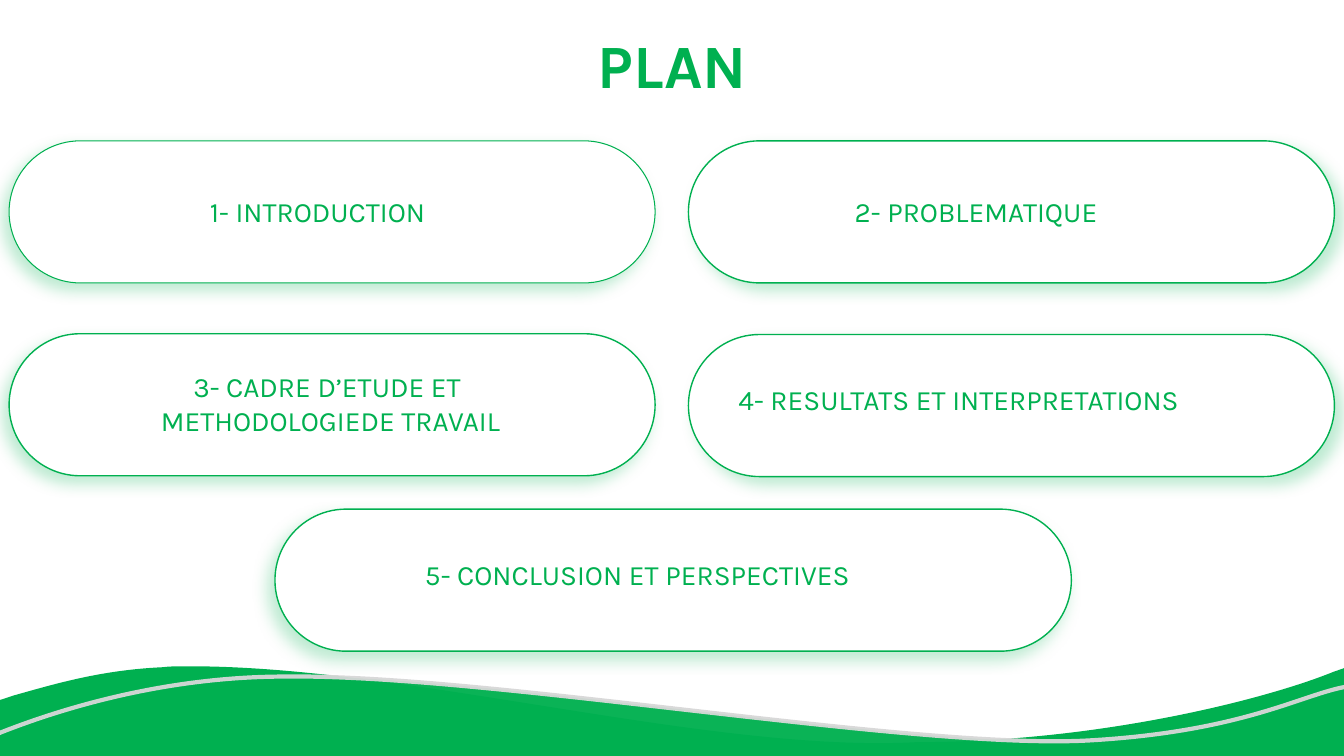
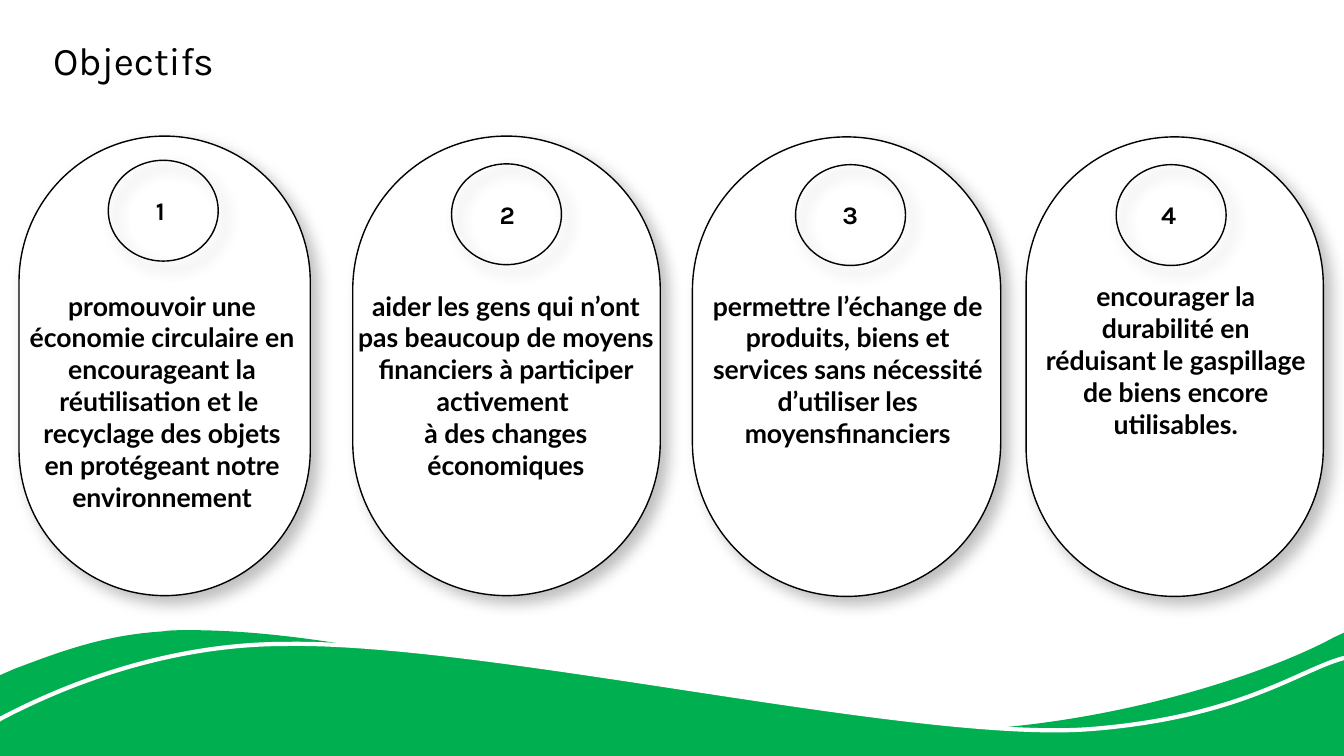
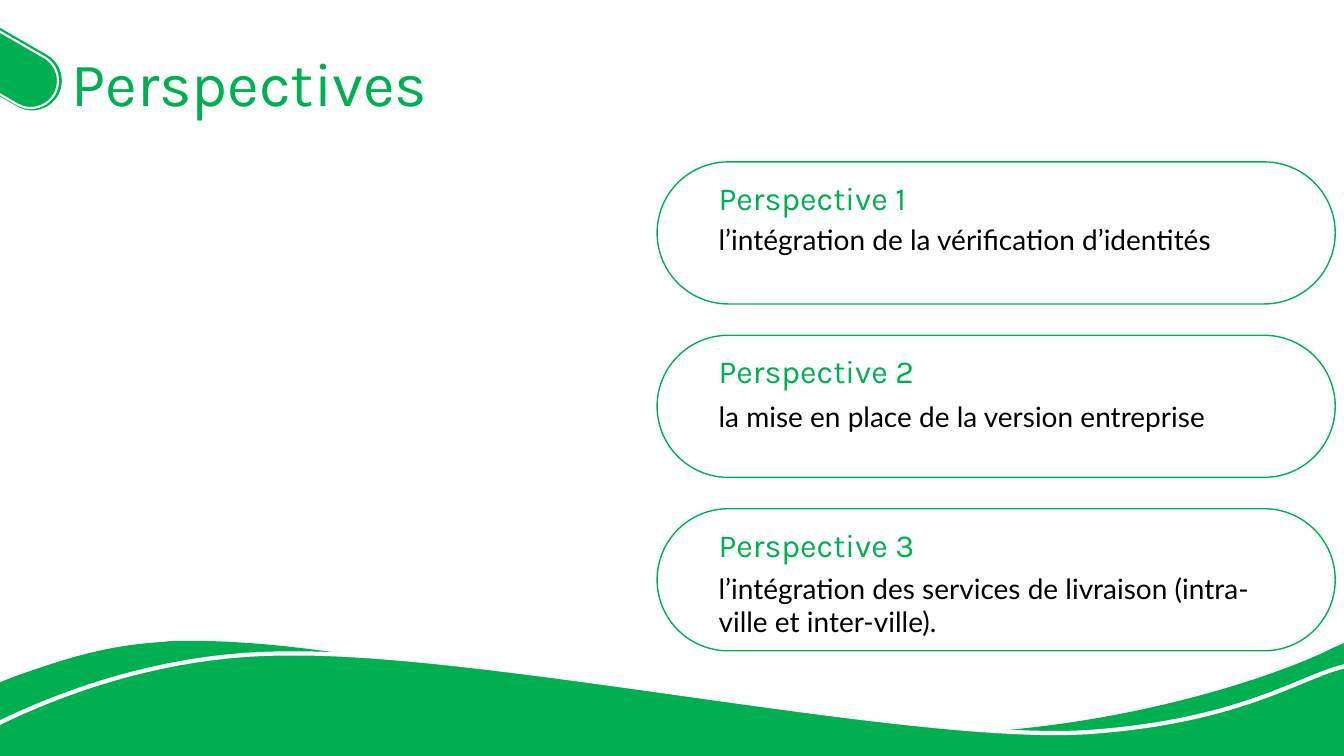
from lxml import etree
from pptx import Presentation
from pptx.dml.color import RGBColor
from pptx.enum.shapes import MSO_SHAPE
from pptx.enum.text import PP_ALIGN
from pptx.oxml.ns import qn
from pptx.util import Cm, Pt

PILL = MSO_SHAPE.ROUNDED_RECTANGLE
OVAL = MSO_SHAPE.OVAL
LEFT, CENTER = PP_ALIGN.LEFT, PP_ALIGN.CENTER

GREEN = RGBColor(0x00, 0xB0, 0x50)
WHITE = RGBColor(0xFF, 0xFF, 0xFF)
BLACK = RGBColor(0x00, 0x00, 0x00)
GREY = RGBColor(0xD8, 0xD8, 0xD8)

HEADING_FONT, BODY_FONT = "Karla", "Lato"
PILL_HEIGHT = 3.58

# Wave outlines: x in cm, y as a share of the wave height.
# A pair is a corner, three pairs are a Bézier curve.
BACK_WAVE = [
    (4.62, 0),
    ((10.21, -0.02), (17.83, 0.93), (23.11, 0.81)),
    ((27.76, 0.81), (31.98, 0.34), (33.6, 0.06)),
    (33.87, 0.02), (33.87, 1), (0, 1), (0, 0.36), (0.36, 0.31),
    ((1.45, 0.18), (2.57, 0.04), (4.09, 0.01)),
    ((4.27, 0), (4.45, 0), (4.62, 0)),
]
FRONT_WAVE = [
    (7.19, 0),
    ((12.32, -0.03), (23.01, 0.82), (27.46, 0.71)),
    ((31.37, 0.61), (32.84, 0.19), (33.96, 0.11)),
    (33.96, 1), (-0.2, 1), (-0.2, 0.67), (0.03, 0.62),
    ((1.7, 0.33), (4.27, 0), (7.19, 0)),
]


def add_text(page, text, left, top, width, height, *, size, color,
             font=HEADING_FONT, bold=False, align=LEFT, spacing=None, wrap=True):
    """Add a text box with one paragraph for each line of text."""
    box = page.shapes.add_textbox(Cm(left), Cm(top), Cm(width), Cm(height))
    frame = box.text_frame
    frame.word_wrap = wrap
    for index, line in enumerate(text.split("\n")):
        para = frame.paragraphs[0] if index == 0 else frame.add_paragraph()
        para.alignment = align
        if spacing:
            para.line_spacing = spacing
        span = para.add_run()
        span.text = line
        span.font.name = font
        span.font.size = Pt(size)
        span.font.bold = bold
        span.font.color.rgb = color


def add_title(page, text, left, top, width, height, **style):
    add_text(page, text, left, top, width, height, spacing=0.8, **style)


def paint(shape, fill, line, line_width):
    """Set fill and line (None for none) and drop the theme shadow."""
    if fill is None:
        shape.fill.background()
    else:
        shape.fill.solid()
        shape.fill.fore_color.rgb = fill
    if line is None:
        shape.line.fill.background()
    else:
        shape.line.color.rgb = line
        shape.line.width = Pt(line_width)
    shape.shadow.inherit = False


def set_opacity(color_element, percent):
    etree.SubElement(color_element, qn("a:alpha"), val=str(percent * 1000))


def cast_shadow(shape, color, opacity, angle):
    effects = shape.element.spPr.find(qn("a:effectLst"))
    shadow = etree.SubElement(
        effects, qn("a:outerShdw"), blurRad=str(Pt(11)), dist=str(Pt(7)),
        dir=str(angle * 60000), algn="ctr", rotWithShape="0")
    set_opacity(etree.SubElement(shadow, qn("a:srgbClr"), val=str(color)), opacity)


def add_preset(page, kind, left, top, width, height, *, fill=WHITE, line=None,
               line_width=1, shadow_angle=None, shadow_opacity=25, rotation=0):
    shape = page.shapes.add_shape(kind, Cm(left), Cm(top), Cm(width), Cm(height))
    if kind == PILL:
        shape.adjustments[0] = 0.5
    shape.rotation = rotation
    paint(shape, fill, line, line_width)
    if shadow_angle is not None:
        cast_shadow(shape, line, shadow_opacity, shadow_angle)


def bend_curves(wave, outline):
    """Join the three segments of each curve into one cubic Bézier."""
    segments = iter(list(wave.element.spPr.iter(qn("a:lnTo"))))
    for part in outline[1:]:
        segment = next(segments)
        if len(part) == 2:
            continue
        curve = etree.Element(qn("a:cubicBezTo"))
        segment.addprevious(curve)
        for handle in (segment, next(segments), next(segments)):
            curve.append(handle[0])
            handle.getparent().remove(handle)


def add_wave(page, outline, top, height, line=None):
    points = []
    for part in outline:
        points.extend([part] if len(part) == 2 else part)
    points = [(Cm(x), Cm(top + y * height)) for x, y in points]
    builder = page.shapes.build_freeform(*points[0], scale=1.0)
    builder.add_line_segments(points[1:], close=True)
    wave = builder.convert_to_shape()
    bend_curves(wave, outline)
    paint(wave, GREEN, line, 3)
    return wave


def add_footer(page, top, height, edge=WHITE):
    """Add both waves and return the front one."""
    add_wave(page, BACK_WAVE, top, height)
    return add_wave(page, FRONT_WAVE, top + 0.11 * height, 0.96 * height, edge)


def build_plan(page):
    front = add_footer(page, 16.79, 2.36, GREY)
    for color, opacity in zip(front.element.spPr.iter(qn("a:srgbClr")), (96, 95)):
        set_opacity(color, opacity)
    add_title(page, "PLAN", 3.33, 0.91, 27.23, 1.75,
              size=44, color=GREEN, bold=True, align=CENTER)

    left, right, wide = (0.23, 16.28, 135), (17.35, 16.28, 45), (6.93, 20.07, 135)
    chapters = [
        (left, 3.55, 0, "1- INTRODUCTION", (4.32, 4.78, 7.37, 1.12), CENTER, False),
        (right, 3.55, 1, "2- PROBLEMATIQUE", (21.29, 4.78, 8.41, 1.12), LEFT, True),
        (left, 8.41, 1, "3- CADRE D’ETUDE ET \nMETHODOLOGIEDE TRAVAIL",
         (1, 9.19, 14.66, 1.96), CENTER, True),
        (right, 8.43, 1, "4- RESULTATS ET INTERPRETATIONS",
         (18.36, 9.52, 14.78, 1.27), LEFT, True),
        (wide, 12.83, 1, "5- CONCLUSION ET PERSPECTIVES",
         (10.46, 13.92, 13.92, 1.4), LEFT, True),
    ]
    for (x, width, angle), top, border, text, place, align, wrap in chapters:
        add_preset(page, PILL, x, top, width, PILL_HEIGHT,
                   line=GREEN, line_width=border, shadow_angle=angle)
        add_text(page, text, *place, size=20, color=GREEN, align=align, wrap=wrap)


def build_objectives(page):
    add_footer(page, 15.88, 3.15)
    add_title(page, "Objectifs", 1.09, 1.02, 6.6, 1.22, size=28, color=BLACK)
    goals = [
        ((0.48, 3.43, 7.34), (2.73, 4.04), (3.68, 4.8), (0.48, 7.17, 7.21),
         "promouvoir une économie circulaire en encourageant la réutilisation et le \n"
         "recyclage des objets en protégeant notre environnement"),
        ((8.89, 3.43, 7.75), (11.38, 4.13), (12.34, 4.9), (8.65, 7.17, 8.2),
         "aider les gens qui n’ont pas beaucoup de moyens financiers à participer activement \n"
         "à des changes économiques"),
        ((17.45, 3.45, 7.77), (20.05, 4.15), (20.98, 4.9), (17.68, 7.17, 7.37),
         "permettre l’échange de produits, biens et services sans nécessité "
         "d’utiliser les moyensfinanciers"),
        ((25.86, 3.45, 7.49), (28.13, 4.15), (29.01, 4.9), (26.11, 6.93, 7.04),
         "encourager la durabilité en réduisant le gaspillage de biens encore utilisables."),
    ]
    for number, (card, badge, number_place, text_place, text) in enumerate(goals, 1):
        add_preset(page, PILL, *card, 11.58, line=BLACK, shadow_angle=45)
        add_preset(page, OVAL, *badge, 2.77, 2.54, fill=None, line=BLACK,
                   shadow_angle=45, shadow_opacity=40)
        add_text(page, str(number), *number_place, 0.95, 1.02,
                 size=18, color=BLACK, bold=True)
        add_text(page, text, *text_place, 6.5, size=19, color=BLACK,
                 font=BODY_FONT, bold=True, align=CENTER)


def build_perspectives(page):
    add_footer(page, 16.15, 2.9)
    add_preset(page, PILL, -1.22, 0.94, 2.87, 1.5, fill=GREEN, rotation=210)
    add_preset(page, PILL, -1.14, 1.02, 2.69, 1.37, fill=GREEN,
               line=WHITE, line_width=1.5, rotation=210)
    add_title(page, "Perspectives", 1.55, 1.37, 12.29, 1.75, size=44, color=GREEN)
    perspectives = [
        (1.4, 1.88, "l’intégration de la vérification d’identités"),
        (1.5, 1.35, "la mise en place de la version entreprise"),
        (1.45, 1.96, "l’intégration des services de livraison (intra-ville et inter-ville)."),
    ]
    for index, (offset, height, text) in enumerate(perspectives):
        top = 4.08 + 4.37 * index
        add_preset(page, PILL, 16.56, top, 17.09, PILL_HEIGHT, fill=None, line=GREEN)
        add_text(page, f"Perspective {index + 1}", 17.86, top + 0.29, 7.59, 1.24,
                 size=23, color=GREEN)
        add_text(page, text, 17.86, top + offset, 14.6, height,
                 size=20, color=BLACK, font=BODY_FONT)


def main():
    deck = Presentation()
    deck.slide_width, deck.slide_height = Cm(33.87), Cm(19.05)
    blank = deck.slide_layouts[6]
    for build in (build_plan, build_objectives, build_perspectives):
        build(deck.slides.add_slide(blank))
    deck.save("out.pptx")


if __name__ == "__main__":
    main()
